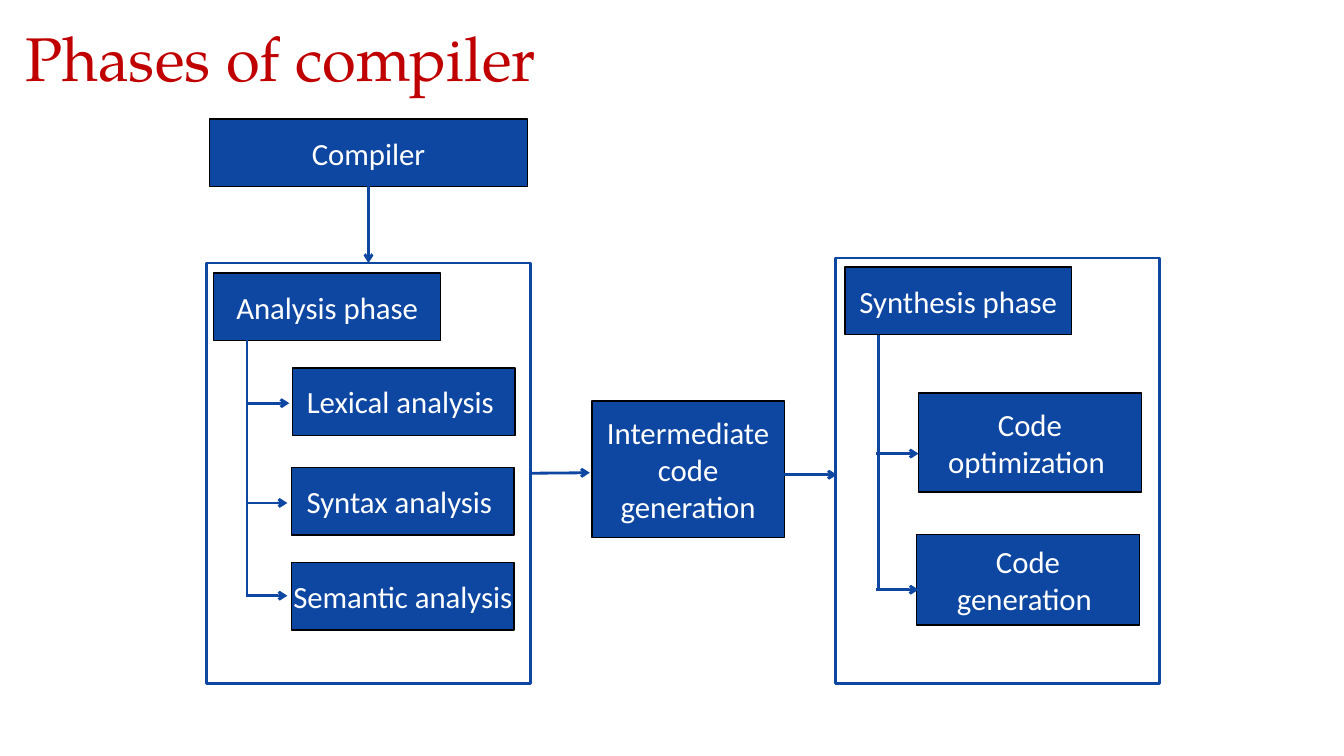
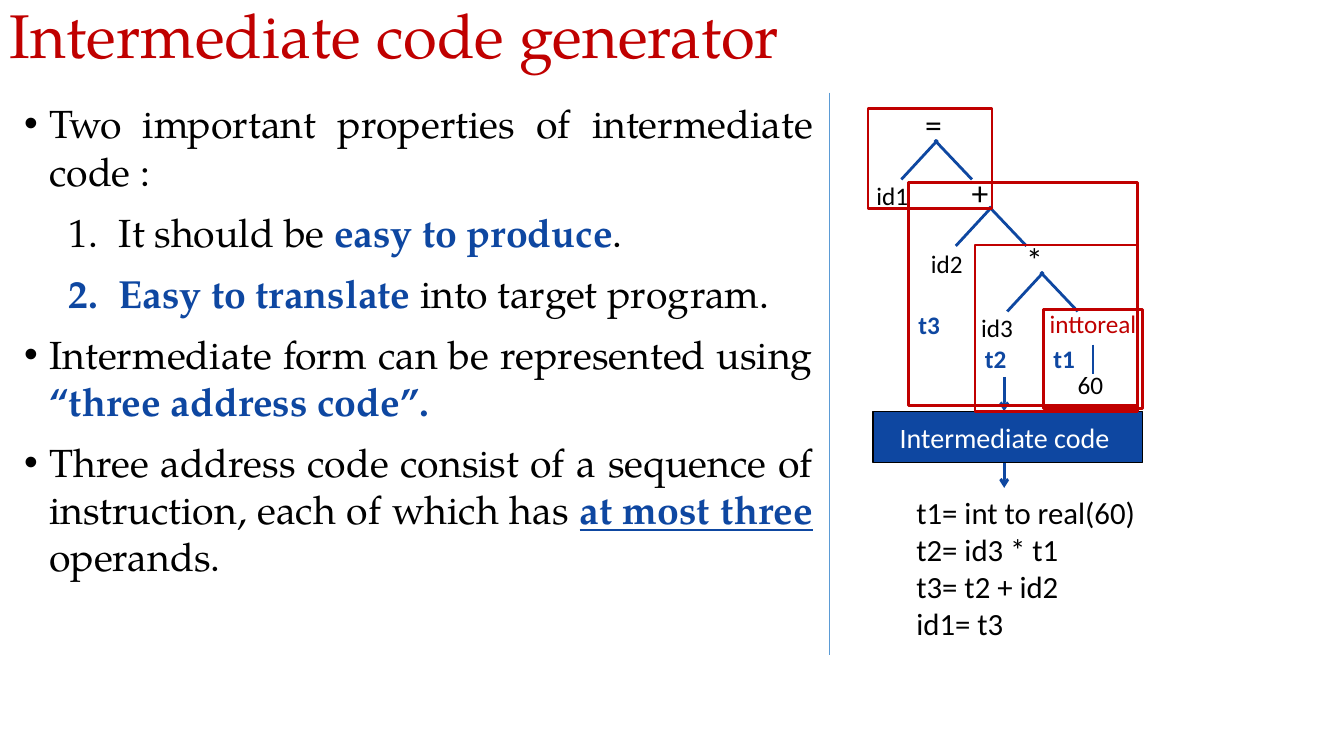
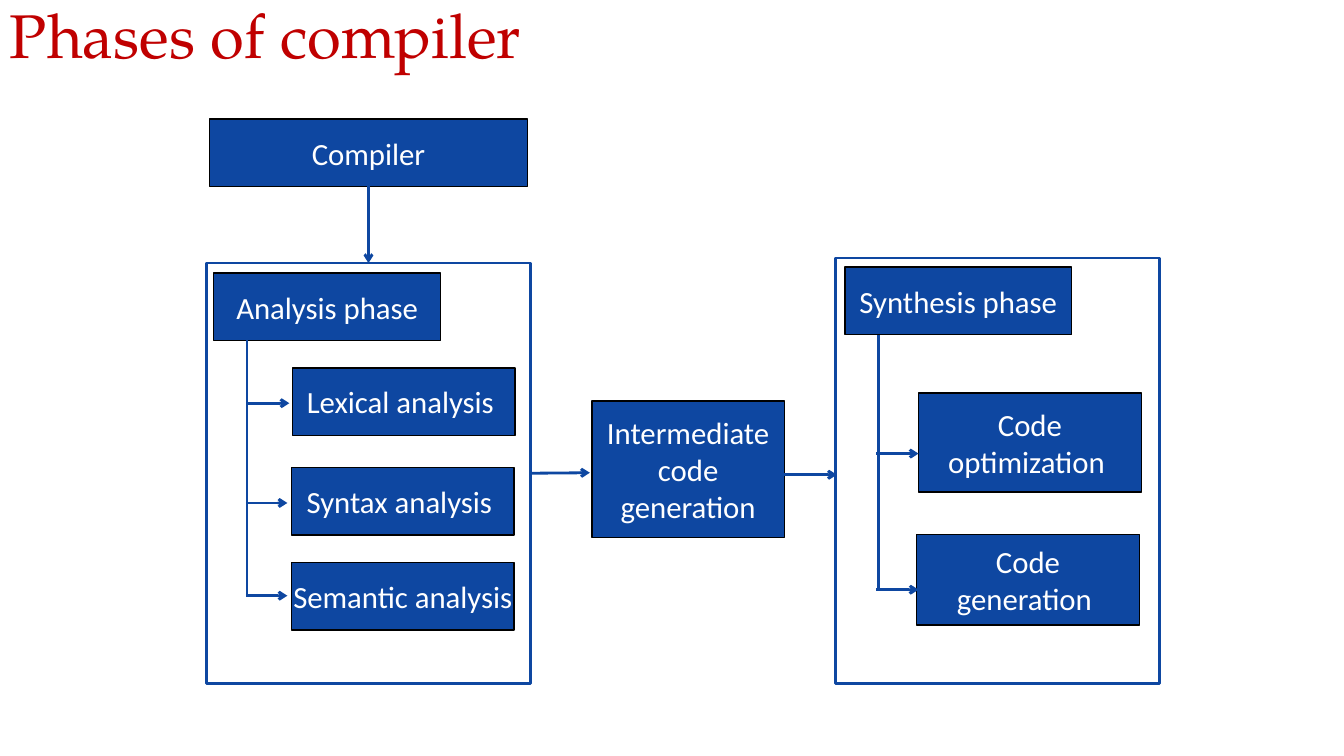
from dataclasses import dataclass
from typing import Any, Optional

from lxml import etree
from pptx import Presentation
from pptx import util as u
from pptx.dml import color as dml
from pptx.enum import shapes as es, text as et
from pptx.oxml import ns
from pptx.shapes import autoshape, connector as cxn, shapetree
from pptx.slide import Slide
from pptx.text import text as tx

EMU_PER_PX = 9144  # 100 px to the inch
SLIDE_WIDTH, SLIDE_HEIGHT = 1333, 750


@dataclass(frozen=True)
class Theme:
    blue: str = "0E47A1"
    red: str = "C00000"
    black: str = "000000"
    white: str = "FFFFFF"
    divider: str = "5B9BD5"
    serif: str = "TeX Gyre Pagella"
    sans: str = "Calibri"
    title_size: int = 44
    body_size: int = 28
    operator_size: int = 24
    box_size: int = 22
    banner_size: int = 20
    label_size: int = 18
    thin: float = 0.5
    border: int = 1
    stroke: int = 2


THEME = Theme()


@dataclass(frozen=True)
class Area:
    left: int
    top: int
    width: int
    height: int


@dataclass(frozen=True)
class Box:
    label: str
    area: Area
    inset: Optional[int] = None
    size: int = THEME.box_size


@dataclass(frozen=True)
class Line:
    start: tuple[int, int]
    end: tuple[int, int]
    arrow: bool = False
    color: str = THEME.blue
    width: float = THEME.stroke


@dataclass(frozen=True)
class Node:
    label: str
    area: Area
    color: str = THEME.black
    size: int = THEME.label_size


@dataclass(frozen=True)
class Scope:
    """Red outline round the part of the tree that one temporary holds."""
    area: Area
    label: str = ""
    label_drop: int = 5


@dataclass(frozen=True)
class Span:
    text: str
    strong: bool = False
    underline: bool = False


@dataclass(frozen=True)
class Item:
    spans: tuple[Span, ...]
    numbered: bool = False


PHASE_BOXES = (
    Box("Analysis phase", Area(212, 271, 225, 67)),
    Box("Synthesis phase", Area(838, 265, 225, 67)),
    Box("Lexical analysis ", Area(290, 365, 221, 67)),
    Box("Syntax analysis ", Area(289, 464, 221, 67)),
    Box("Semantic analysis ", Area(289, 558, 221, 67), inset=0),
    Box("Intermediate code generation", Area(587, 398, 191, 135)),
    Box("Code optimization ", Area(911, 390, 221, 98)),
    Box("Code generation ", Area(909, 530, 221, 90)),
)
COMPILER_BOX = Box("Compiler", Area(208, 118, 315, 67))
ANALYSIS_FRAME = Area(205, 261, 321, 417)
SYNTHESIS_FRAME = Area(829, 256, 321, 422)
PHASE_LINES = (
    Line((245, 337), (245, 592)),
    Line((871, 332), (871, 586)),
    Line((245, 400), (287, 400), arrow=True),
    *(Line((244, y), (285, y), arrow=True) for y in (499, 591)),
    *(Line((869, y), (911, y), arrow=True) for y in (450, 585)),
    Line((777, 471), (830, 471), arrow=True),
)

BODY = (
    Item((Span("Two important properties of intermediate code :"),)),
    Item((Span("It should be "), Span("easy to produce", True), Span(".")), numbered=True),
    Item((Span("Easy to translate ", True), Span("into target program.")), numbered=True),
    Item((Span("Intermediate form can be represented using "),
          Span("“three address code”.", True))),
    Item((Span("Three address code consist of a sequence of instruction, each of which has "),
          Span("at most three ", True, True), Span("operands."))),
)
TREE_NODES = (
    Node("=", Area(901, 102, 50, 42), size=THEME.operator_size),
    Node("id1", Area(847, 173, 76, 42)),
    Node("+", Area(934, 169, 76, 42), size=THEME.operator_size),
    Node("id2", Area(901, 240, 76, 42)),
    Node("*", Area(988, 236, 76, 42), size=THEME.operator_size),
    Node("id3", Area(951, 304, 76, 42)),
    Node("inttoreal", Area(1019, 300, 130, 42), color=THEME.red),
    Node("60", Area(1020, 360, 123, 42)),
)
TREE_FORKS = ((927, 139), (981, 205), (1032, 270))
SCOPES = (
    Scope(Area(1035, 307, 98, 98), "t1"),
    Scope(Area(967, 243, 161, 165), "t2", label_drop=66),
    Scope(Area(901, 181, 227, 221), "t3", label_drop=66),
    Scope(Area(861, 108, 123, 99)),
)
THREE_ADDRESS_CODE = ("t1= int to real(60)", "t2= id3 * t1", "t3= t2 + id2", "id1= t3")


def px(length: float) -> u.Emu:
    return u.Emu(round(length * EMU_PER_PX))


def placed(area: Area) -> tuple[u.Emu, ...]:
    return px(area.left), px(area.top), px(area.width), px(area.height)


def apply(target: Any, values: dict[str, Any]) -> None:
    for name, value in values.items():
        setattr(target, name, value)


def add_run(paragraph: tx._Paragraph, words: str, size: int, color: str,
            face: str = THEME.sans, **style: bool) -> None:
    run = paragraph.add_run()
    run.text = words
    apply(run.font, {"name": face, "size": u.Pt(size), **style})
    run.font.color.rgb = dml.RGBColor.from_string(color)


def add_textbox(shapes: shapetree._BaseGroupShapes, area: Area,
                anchor: et.MSO_ANCHOR = et.MSO_ANCHOR.TOP) -> tx.TextFrame:
    frame = shapes.add_textbox(*placed(area)).text_frame
    apply(frame, {"word_wrap": True, "vertical_anchor": anchor})
    return frame


def add_rectangle(slide: Slide, area: Area, line_color: str, line_width: float,
                  fill: Optional[str] = None) -> autoshape.Shape:
    shape = slide.shapes.add_shape(es.MSO_SHAPE.RECTANGLE, *placed(area))
    shape.shadow.inherit = False
    if fill:
        shape.fill.solid()
        shape.fill.fore_color.rgb = dml.RGBColor.from_string(fill)
    else:
        shape.fill.background()
    shape.line.color.rgb = dml.RGBColor.from_string(line_color)
    shape.line.width = u.Pt(line_width)
    apply(shape.text_frame, {"word_wrap": True, "vertical_anchor": et.MSO_ANCHOR.MIDDLE})
    return shape


def add_box(slide: Slide, box: Box) -> autoshape.Shape:
    shape = add_rectangle(slide, box.area, THEME.black, THEME.border, THEME.blue)
    if box.inset is not None:
        sides = ("left", "top", "right", "bottom")
        apply(shape.text_frame, {f"margin_{side}": px(box.inset) for side in sides})
    paragraph = shape.text_frame.paragraphs[0]
    paragraph.alignment = et.PP_ALIGN.CENTER
    add_run(paragraph, box.label, box.size, THEME.white)
    return shape


def add_line(shapes: shapetree._BaseGroupShapes, line: Line) -> cxn.Connector:
    ends = (px(value) for value in (*line.start, *line.end))
    connector = shapes.add_connector(es.MSO_CONNECTOR.STRAIGHT, *ends)
    connector.line.color.rgb = dml.RGBColor.from_string(line.color)
    connector.line.width = u.Pt(line.width)
    properties = connector._element.spPr
    if line.arrow:
        etree.SubElement(properties.find(ns.qn("a:ln")), ns.qn("a:tailEnd"), type="arrow")
    etree.SubElement(properties, ns.qn("a:effectLst"))
    return connector


def add_titled_slide(presentation: Any, title: str, left: int = 0, top: int = 0) -> Slide:
    slide = presentation.slides.add_slide(presentation.slide_layouts[6])
    frame = add_textbox(slide.shapes, Area(left, top, SLIDE_WIDTH - left, 78))
    paragraph = frame.paragraphs[0]
    paragraph.line_spacing = 0.9
    add_run(paragraph, title, THEME.title_size, THEME.red, THEME.serif)
    return slide


def draw_phases(slide: Slide) -> None:
    compiler = add_box(slide, COMPILER_BOX)
    for box in PHASE_BOXES:
        add_box(slide, box)
    analysis, _ = (add_rectangle(slide, area, THEME.blue, THEME.stroke)
                   for area in (ANALYSIS_FRAME, SYNTHESIS_FRAME))
    for line in PHASE_LINES:
        add_line(slide.shapes, line)
    into_analysis = add_line(slide.shapes, Line((365, 185), (365, 261), arrow=True))
    into_analysis.begin_connect(compiler, 2)
    into_analysis.end_connect(analysis, 0)
    out_of_analysis = add_line(slide.shapes, Line((526, 469), (585, 469), arrow=True))
    out_of_analysis.begin_connect(analysis, 3)


def set_marker(paragraph: tx._Paragraph, numbered: bool) -> None:
    """Give the paragraph a hanging indent with a bullet or a number."""
    properties = paragraph._p.get_or_add_pPr()
    margin, hang = (94, 50) if numbered else (25, 25)
    properties.set("marL", str(px(margin)))
    properties.set("indent", str(px(-hang)))
    if numbered:
        etree.SubElement(properties, ns.qn("a:buFont"), typeface="+mj-lt")
        etree.SubElement(properties, ns.qn("a:buAutoNum"), type="arabicPeriod")
    else:
        etree.SubElement(properties, ns.qn("a:buFont"), typeface="Arial")
        etree.SubElement(properties, ns.qn("a:buChar"), char="•")


def draw_body(slide: Slide) -> None:
    frame = add_textbox(slide.shapes, Area(14, 94, 802, 611))
    for index, item in enumerate(BODY):
        paragraph = frame.add_paragraph() if index else frame.paragraphs[0]
        set_marker(paragraph, item.numbered)
        apply(paragraph, {"alignment": et.PP_ALIGN.JUSTIFY,
                          "space_before": u.Pt(10 if index else 0)})
        for span in item.spans:
            add_run(paragraph, span.text, THEME.body_size,
                    THEME.blue if span.strong else THEME.black, THEME.serif,
                    bold=span.strong, underline=span.underline)


def draw_syntax_tree(slide: Slide) -> None:
    tree = slide.shapes.add_group_shape().shapes
    for node in TREE_NODES:
        paragraph = add_textbox(tree, node.area, et.MSO_ANCHOR.MIDDLE).paragraphs[0]
        paragraph.alignment = et.PP_ALIGN.CENTER
        add_run(paragraph, node.label, node.size, node.color)
    for x, y in TREE_FORKS:
        add_line(tree, Line((x + 3, y), (x - 33, y + 39)))
        add_line(tree, Line((x, y), (x + 37, y + 39)))
    add_line(tree, Line((1084, 342), (1084, 371)))


def draw_scopes(slide: Slide) -> None:
    for scope in SCOPES:
        frame = add_rectangle(slide, scope.area, THEME.red, THEME.stroke).text_frame
        if scope.label:
            frame.margin_top = px(scope.label_drop)
            paragraph = frame.paragraphs[0]
            paragraph.alignment = et.PP_ALIGN.LEFT
            add_run(paragraph, scope.label, THEME.label_size, THEME.blue, bold=True)


def draw_generated_code(slide: Slide) -> None:
    add_box(slide, Box("Intermediate code ", Area(866, 408, 267, 51), size=THEME.banner_size))
    for top, bottom in ((374, 408), (459, 484)):
        add_line(slide.shapes, Line((996, top), (996, bottom), arrow=True))
    frame = add_textbox(slide.shapes, Area(899, 485, 245, 219))
    for index, statement in enumerate(THREE_ADDRESS_CODE):
        paragraph = frame.add_paragraph() if index else frame.paragraphs[0]
        add_run(paragraph, statement, THEME.box_size, THEME.black)


def main() -> None:
    presentation = Presentation()
    apply(presentation, {"slide_width": px(SLIDE_WIDTH), "slide_height": px(SLIDE_HEIGHT)})

    draw_phases(add_titled_slide(presentation, "Phases of compiler", left=15, top=23))

    generator = add_titled_slide(presentation, "Intermediate code generator")
    draw_body(generator)
    draw_syntax_tree(generator)
    draw_generated_code(generator)
    draw_scopes(generator)
    add_line(generator.shapes, Line((823, 92), (823, 650), color=THEME.divider, width=THEME.thin))

    draw_phases(add_titled_slide(presentation, "Phases of compiler"))
    presentation.save("out.pptx")


if __name__ == "__main__":
    main()
